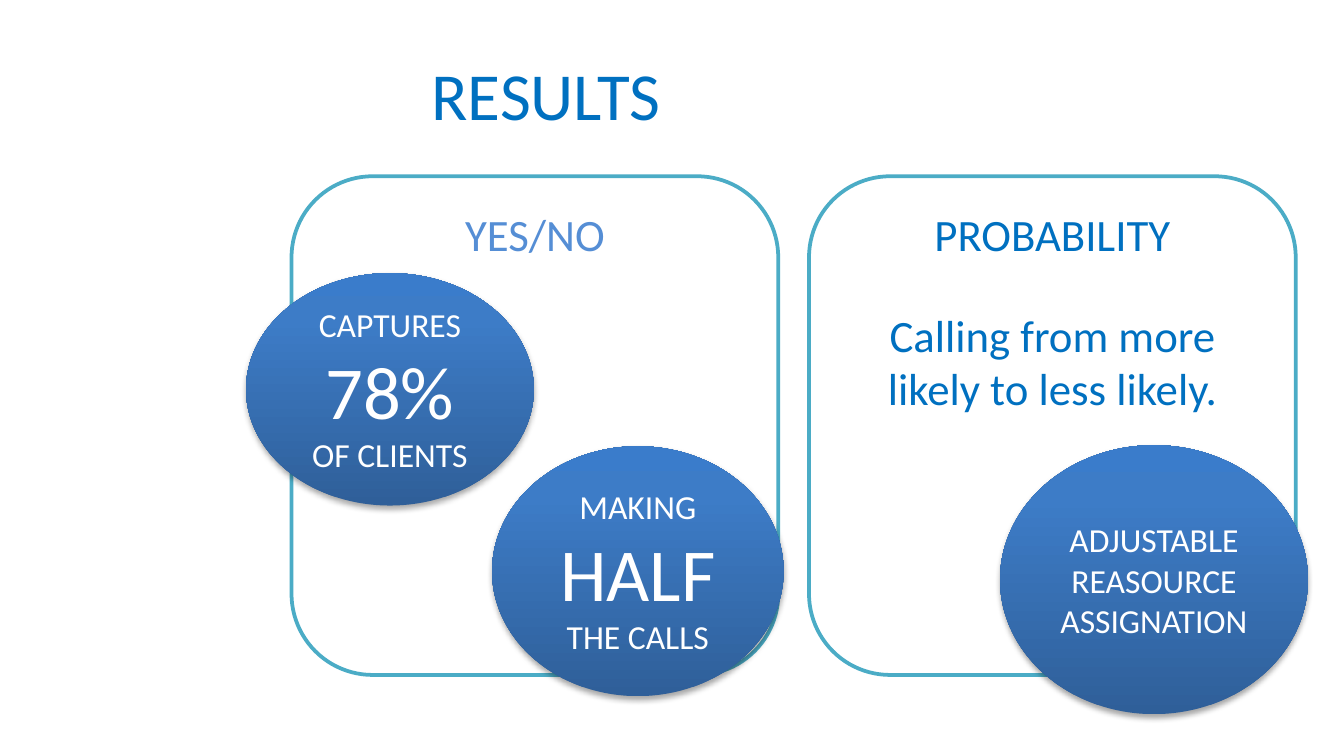
from copy import deepcopy

from pptx import Presentation
from pptx.dml.color import RGBColor
from pptx.enum.shapes import MSO_SHAPE
from pptx.enum.text import MSO_ANCHOR, MSO_AUTO_SIZE, PP_ALIGN
from pptx.oxml import parse_xml
from pptx.oxml.ns import qn
from pptx.util import Cm, Pt

OVAL = MSO_SHAPE.OVAL
LEFT, CENTER = PP_ALIGN.LEFT, PP_ALIGN.CENTER
TOP, MIDDLE = MSO_ANCHOR.TOP, MSO_ANCHOR.MIDDLE
NO_AUTOFIT = MSO_AUTO_SIZE.NONE

WHITE = RGBColor(0xFF, 0xFF, 0xFF)
BLUE = RGBColor(0x00, 0x70, 0xC0)
LIGHT_BLUE = RGBColor(0x55, 0x8E, 0xD5)
TEAL = RGBColor(0x4B, 0xAC, 0xC6)
GRADIENT = (
    (0, RGBColor(0x2F, 0x5F, 0x99)),
    (0.8, RGBColor(0x3D, 0x7C, 0xC7)),
    (1, RGBColor(0x3A, 0x7C, 0xCB)),
)

DRAWING_NAMESPACE = 'xmlns:a="http://schemas.openxmlformats.org/drawingml/2006/main"'
ROUNDED_PANEL = (
    f'<a:prstGeom {DRAWING_NAMESPACE} prst="flowChartAlternateProcess"><a:avLst/></a:prstGeom>'
)
SOFT_SHADOW = (
    f'<a:outerShdw {DRAWING_NAMESPACE} blurRad="40000" dist="23000" dir="5400000" rotWithShape="0">'
    '<a:srgbClr val="000000"><a:alpha val="35000"/></a:srgbClr></a:outerShdw>'
)


def place(shape, box):
    shape.left, shape.top, shape.width, shape.height = (Cm(length) for length in box)


def write(paragraph, text, *, size, color, align=CENTER, before=0):
    """Append one formatted run to the paragraph."""
    paragraph.alignment = align
    paragraph.space_before = Pt(before)
    run = paragraph.add_run()
    run.text = text
    run.font.name = "Calibri"
    run.font.size = Pt(size)
    run.font.color.rgb = color


def fill_title(title, box):
    place(title, box)
    frame = title.text_frame
    frame.auto_size = NO_AUTOFIT
    frame.vertical_anchor = MIDDLE
    write(frame.paragraphs[0], "RESULTS", size=36, color=BLUE, align=LEFT)


def fill_panel(panel, box, heading, color, detail=None):
    """Turn a body placeholder into a rounded panel with a heading."""
    place(panel, box)
    properties = panel._element.spPr
    properties.find(qn("a:xfrm")).addnext(parse_xml(ROUNDED_PANEL))
    panel.fill.solid()
    panel.fill.fore_color.rgb = WHITE
    panel.line.color.rgb = TEAL
    panel.line.width = Pt(2)

    frame = panel.text_frame
    frame.auto_size = NO_AUTOFIT
    frame.vertical_anchor = TOP
    write(frame.paragraphs[0], heading, size=24, color=color, before=5)
    if detail:
        write(frame.add_paragraph(), detail, size=24, color=color, before=25)
    for paragraph in frame.paragraphs:
        paragraph_properties = paragraph._p.get_or_add_pPr()
        paragraph_properties.set("marL", "0")
        paragraph_properties.set("indent", "0")
        paragraph_properties.append(parse_xml(f"<a:buNone {DRAWING_NAMESPACE}/>"))


def add_bubble(slide, box, lines):
    """Add a shaded ellipse; each line is a list of (text, size) runs."""
    bubble = slide.shapes.add_shape(OVAL, *(Cm(length) for length in box))
    bubble.fill.gradient()
    bubble.fill.gradient_angle = 90
    stop_list = bubble._element.spPr.find(qn("a:gradFill")).find(qn("a:gsLst"))
    stop_list.append(deepcopy(stop_list[-1]))
    for stop, (position, color) in zip(bubble.fill.gradient_stops, GRADIENT):
        stop.position = position
        stop.color.rgb = color
    bubble.line.fill.background()
    bubble.shadow.inherit = False
    bubble._element.spPr.find(qn("a:effectLst")).append(parse_xml(SOFT_SHADOW))

    frame = bubble.text_frame
    frame.word_wrap = True
    frame.vertical_anchor = MIDDLE
    frame.margin_left = frame.margin_right = Cm(0.2)
    for index, line in enumerate(lines):
        paragraph = frame.add_paragraph() if index else frame.paragraphs[0]
        for text, size in line:
            write(paragraph, text, size=size, color=WHITE)


def add_results_slide(presentation):
    slide = presentation.slides.add_slide(presentation.slide_layouts[3])
    title, yes_no, probability = list(slide.placeholders)[:3]
    for placeholder in list(slide.placeholders)[3:]:
        placeholder._element.getparent().remove(placeholder._element)

    panel_left, panel_top, panel_width, panel_height, gap = 5.51, 3.33, 9.2, 9.42, 0.58
    fill_title(title, (7.9, 0.58, 16.23, 2.39))
    fill_panel(yes_no, (panel_left, panel_top, panel_width, panel_height), "YES/NO", LIGHT_BLUE)
    fill_panel(
        probability,
        (panel_left + panel_width + gap, panel_top, panel_width, panel_height),
        "PROBABILITY",
        BLUE,
        "Calling from more likely to less likely.",
    )

    bubbles = (
        ((18.9, 8.41, 5.82, 5.08), [[("ADJUSTABLE REASOURCE ASSIGNATION", 18)]]),
        ((4.65, 5.16, 5.44, 4.39), [[("CAPTURES ", 18), ("78%", 40)], [("OF CLIENTS", 18)]]),
        ((9.3, 8.43, 5.51, 4.72), [[("MAKING ", 18), ("HALF", 40)], [("THE CALLS", 18)]]),
    )
    for box, lines in bubbles:
        add_bubble(slide, box, lines)


def main():
    presentation = Presentation()
    presentation.slide_width = Cm(25.4)
    presentation.slide_height = Cm(14.28)
    add_results_slide(presentation)
    presentation.save("out.pptx")


if __name__ == "__main__":
    main()
